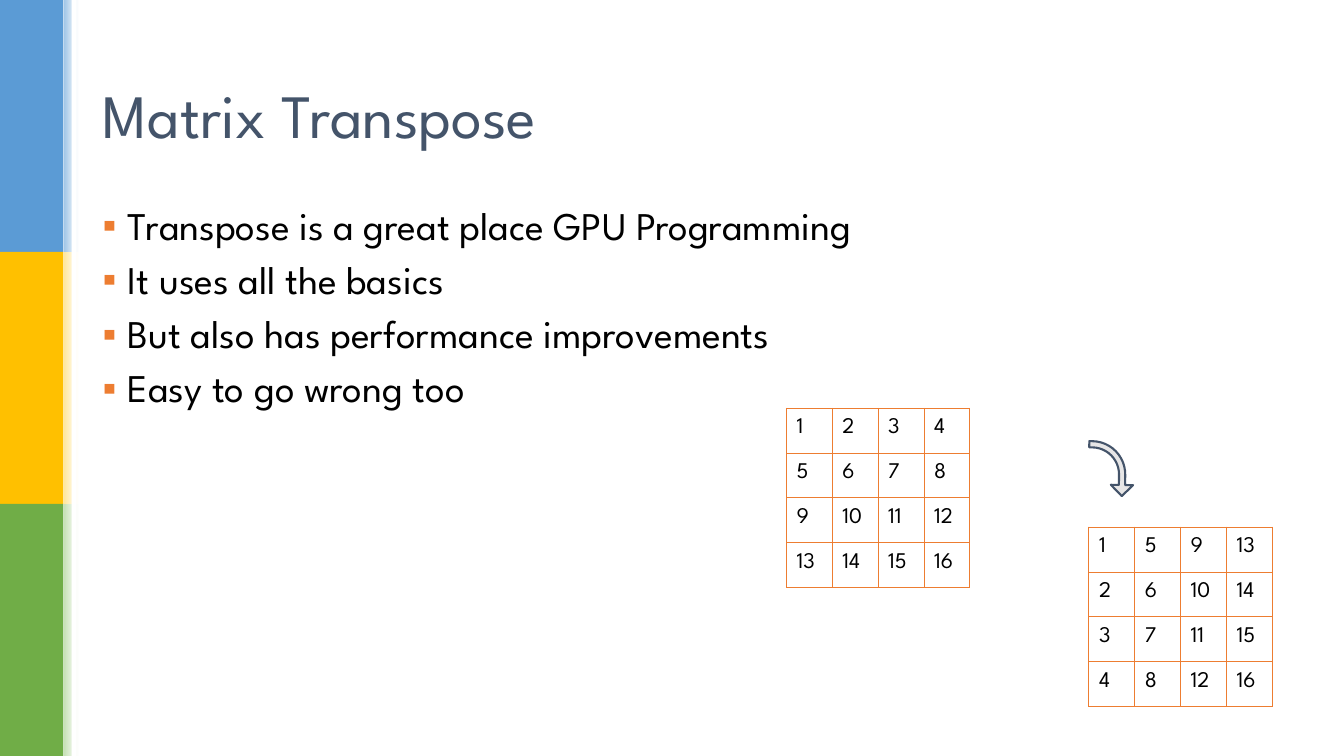
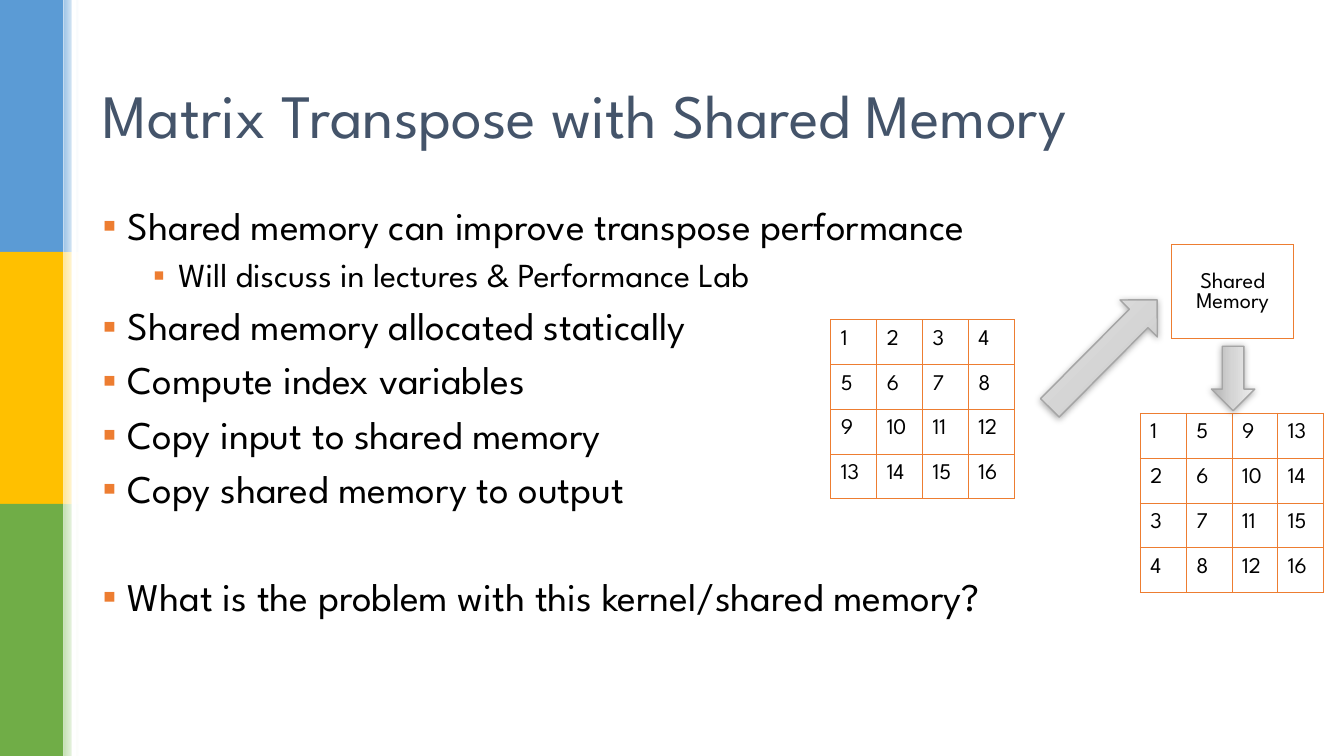
"""Build two slides that explain a matrix transpose and its use of shared memory."""
from copy import deepcopy

from lxml.etree import SubElement
from pptx import Presentation
from pptx.dml.color import RGBColor
from pptx.enum.shapes import MSO_SHAPE
from pptx.enum.text import MSO_ANCHOR, MSO_AUTO_SIZE, PP_ALIGN
from pptx.oxml.ns import qn
from pptx.util import Inches, Pt

RECTANGLE = MSO_SHAPE.RECTANGLE
RIGHT_ARROW = MSO_SHAPE.RIGHT_ARROW
BENT_ARROW = MSO_SHAPE.BENT_ARROW
LEFT, CENTER = PP_ALIGN.LEFT, PP_ALIGN.CENTER
TOP, MIDDLE = MSO_ANCHOR.TOP, MSO_ANCHOR.MIDDLE
NO_AUTOFIT = MSO_AUTO_SIZE.NONE

FONT = "League Spartan"
TITLE_ONLY = 5
COLORS = {
    "text": "000000", "title": "44546A", "accent": "ED7D31",
    "white": "FFFFFF", "pale": "E7E6E6", "gray": "A5A5A5",
    "blue": "5B9BD5", "yellow": "FFC000", "green": "70AD47",
    "light blue": "9DC3E6", "light yellow": "FFE699", "light green": "C5E0B4",
    "steel dark": "B1B1B1", "steel": "D5D5D5", "steel light": "EDEDED",
}
BANDS = ("blue", "yellow", "green")
STEEL = (("steel dark", 0), ("steel", 0.48), ("steel light", 1))
BULLET_SIZES = (28, 24)
BLANK_LINE = 38.6
MATRIX_SIZE = (1.82, 1.78)
MATRIX = [[4 * row + column + 1 for column in range(4)] for row in range(4)]
TRANSPOSED = list(zip(*MATRIX))


def rgb(name):
    return RGBColor.from_string(COLORS[name])


def add_xml(parent, tag, **attributes):
    return SubElement(parent, qn(tag), {key: str(value) for key, value in attributes.items()})


def write(paragraph, text, size=16, color="text", align=LEFT, before=0, spacing=1.0):
    paragraph.alignment = align
    paragraph.space_before, paragraph.space_after = Pt(before), Pt(0)
    paragraph.line_spacing = spacing
    run = paragraph.add_run()
    run.text = text
    run.font.name, run.font.size = FONT, Pt(size)
    run.font.color.rgb = rgb(color)


class Deck:
    """Hold the shared style and the slide being drawn."""

    def __init__(self):
        self.presentation = Presentation()
        self.presentation.slide_width = Inches(13.33)
        self.presentation.slide_height = Inches(7.5)
        self.slide = None

    def add_slide(self, title):
        layout = self.presentation.slide_layouts[TITLE_ONLY]
        self.slide = self.presentation.slides.add_slide(layout)
        for index, color in enumerate(BANDS):
            top = 2.5 * index
            self.add_shape(RECTANGLE, 0, top, 0.63, 2.5, fill=color)
            fade = self.add_shape(RECTANGLE, 0.63, top, 0.15, 2.5)
            self.fill_gradient(fade, ((f"light {color}", 0), ("white", 1)), 0)
        self.add_shape(RECTANGLE, 0.71, 0, 0.05, 7.5, fill="white")
        shape = self.slide.shapes.title
        shape.left, shape.top = Inches(0.92), Inches(0.4)
        shape.width, shape.height = Inches(11.5), Inches(1.45)
        frame = shape.text_frame
        frame.vertical_anchor, frame.auto_size = MIDDLE, NO_AUTOFIT
        write(frame.paragraphs[0], title, size=44, color="title", before=13.2)

    def add_shape(self, kind, left, top, width, height, fill=None, line=None,
                  line_width=1, rotation=0):
        shape = self.slide.shapes.add_shape(
            kind, Inches(left), Inches(top), Inches(width), Inches(height))
        shape.shadow.inherit = False
        shape.rotation = rotation
        if fill:
            shape.fill.solid()
            shape.fill.fore_color.rgb = rgb(fill)
        if line:
            shape.line.color.rgb = rgb(line)
            shape.line.width = Pt(line_width)
        else:
            shape.line.fill.background()
        return shape

    def fill_gradient(self, shape, colors, angle):
        shape.fill.gradient()
        shape.fill.gradient_angle = angle
        stop_list = shape.element.spPr.find(qn("a:gradFill")).find(qn("a:gsLst"))
        for _ in colors[2:]:
            stop_list.append(deepcopy(stop_list[0]))
        for stop, (color, position) in zip(shape.fill.gradient_stops, colors):
            stop.color.rgb = rgb(color)
            stop.position = position

    def add_steel_arrow(self, left, top, width, height, rotation):
        arrow = self.add_shape(RIGHT_ARROW, left, top, width, height,
                               line="gray", rotation=rotation)
        self.fill_gradient(arrow, STEEL, 90)
        effects = arrow.element.spPr.find(qn("a:effectLst"))
        shadow = add_xml(effects, "a:outerShdw", blurRad=Pt(5), dist=Pt(1),
                         dir=5400000, algn="ctr", rotWithShape=0)
        color = add_xml(shadow, "a:srgbClr", val=COLORS["text"])
        add_xml(color, "a:alpha", val=32000)

    def add_bullets(self, items):
        box = self.slide.shapes.add_textbox(Inches(0.92), Inches(2), Inches(11.5), Inches(4.76))
        frame = box.text_frame
        frame.word_wrap = True
        for index, (text, level, gap) in enumerate(items):
            paragraph = frame.add_paragraph() if index else frame.paragraphs[0]
            size = BULLET_SIZES[level]
            write(paragraph, text, size=size, before=0.3 * size + gap, spacing=0.9)
            paragraph.level = level
            properties = paragraph._p.get_or_add_pPr()
            properties.set("marL", str(Inches(0.25 + 0.5 * level)))
            properties.set("indent", str(Inches(-0.25)))
            color = add_xml(properties, "a:buClr")
            add_xml(color, "a:srgbClr", val=COLORS["accent"])
            add_xml(properties, "a:buFont", typeface="Arial")
            add_xml(properties, "a:buChar", char="▪")

    def add_grid(self, rows, left, top, width, height, align=LEFT, anchor=TOP):
        row_count, column_count = len(rows), len(rows[0])
        table = self.slide.shapes.add_table(
            row_count, column_count, Inches(left), Inches(top),
            Inches(width), Inches(height)).table
        table.first_row = table.horz_banding = False
        for column in table.columns:
            column.width = Inches(width / column_count)
        for row, values in zip(table.rows, rows):
            row.height = Inches(height / row_count)
            for cell, value in zip(row.cells, values):
                self.format_cell(cell, str(value), align, anchor)

    def format_cell(self, cell, text, align, anchor):
        cell.margin_left = cell.margin_right = cell.margin_top = Inches(0.1)
        cell.margin_bottom = Inches(0.07)
        cell.vertical_anchor = anchor
        properties = cell._tc.get_or_add_tcPr()
        for side in "LRTB":
            border = add_xml(properties, f"a:ln{side}", w=Pt(0.75))
            fill = add_xml(border, "a:solidFill")
            add_xml(fill, "a:srgbClr", val=COLORS["accent"])
            add_xml(border, "a:prstDash", val="solid")
        cell.fill.background()
        frame = cell.text_frame
        for index, line in enumerate(text.split("\n")):
            paragraph = frame.add_paragraph() if index else frame.paragraphs[0]
            write(paragraph, line, align=align)


def main():
    deck = Deck()

    deck.add_slide("Matrix Transpose")
    deck.add_bullets([
        ("Transpose is a great place GPU Programming", 0, 0),
        ("It uses all the basics", 0, 0),
        ("But also has performance improvements", 0, 0),
        ("Easy to go wrong too", 0, 0),
    ])
    deck.add_grid(MATRIX, 7.8, 4.05, *MATRIX_SIZE)
    deck.add_grid(TRANSPOSED, 10.8, 5.23, *MATRIX_SIZE)
    turn = deck.add_shape(BENT_ARROW, 10.75, 4.43, 0.54, 0.44, fill="pale",
                          line="title", line_width=1.5, rotation=90.9)
    for index, value in enumerate((0.14, 0.25, 0.25, 0.75)):
        turn.adjustments[index] = value

    deck.add_slide("Matrix Transpose with Shared Memory")
    deck.add_bullets([
        ("Shared memory can improve transpose performance", 0, 0),
        ("Will discuss in lectures & Performance Lab", 1, 0),
        ("Shared memory allocated statically", 0, 0),
        ("Compute index variables", 0, 0),
        ("Copy input to shared memory", 0, 0),
        ("Copy shared memory to output", 0, 0),
        ("What is the problem with this kernel/shared memory?", 0, BLANK_LINE),
    ])
    deck.add_grid(MATRIX, 8.24, 3.17, *MATRIX_SIZE)
    deck.add_grid(TRANSPOSED, 11.31, 4.1, *MATRIX_SIZE)
    deck.add_grid([["Shared\nMemory"]], 11.62, 2.43, 1.21, 0.93, align=CENTER, anchor=MIDDLE)
    deck.add_steel_arrow(10.19, 3.25, 1.51, 0.52, rotation=314.8)
    deck.add_steel_arrow(11.91, 3.54, 0.64, 0.43, rotation=90)

    deck.presentation.save("out.pptx")


if __name__ == "__main__":
    main()
